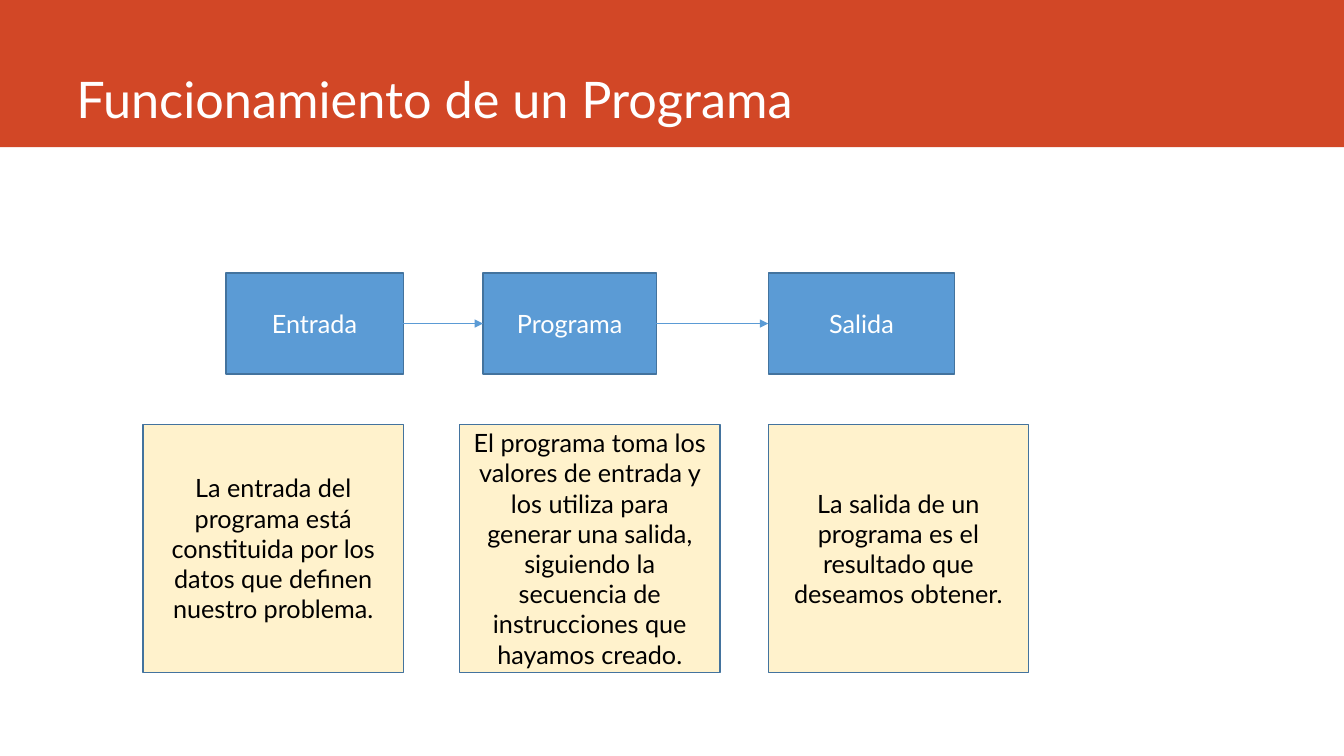
from itertools import pairwise
from lxml.etree import SubElement
from pptx import Presentation
from pptx.dml.color import RGBColor
from pptx.enum.shapes import MSO_CONNECTOR as CONN, MSO_SHAPE as SHAPE
from pptx.enum.text import MSO_ANCHOR as ANCHOR, PP_ALIGN as ALIGN
from pptx.oxml.ns import qn
from pptx.util import Inches, Pt

# Content
TITLE = "Funcionamiento de un Programa"
# name, stage left, stage width, note left, note
STAGES = [
    ("Entrada", 2.24, 1.76, 1.42,
     "La entrada del programa está constituida por los datos que definen "
     "nuestro problema."),
    ("Programa", 4.79, 1.72, 4.56,
     "El programa toma los valores de entrada y los utiliza para generar una "
     "salida, siguiendo la secuencia de instrucciones que hayamos creado."),
    ("Salida", 7.62, 1.85, 7.62,
     "La salida de un programa es el resultado que deseamos obtener."),
]

# Style and layout, in inches
FONT = "Lato"
ORANGE = RGBColor(0xD2, 0x47, 0x26)
BLUE = RGBColor(0x5B, 0x9B, 0xD5)
EDGE = RGBColor(0x43, 0x73, 0x9E)
CREAM = RGBColor(0xFF, 0xF2, 0xCC)
WHITE = RGBColor(0xFF, 0xFF, 0xFF)
BLACK = RGBColor(0, 0, 0)
WIDTH, HEIGHT = 13.33, 7.5
BAND_H = 1.46
TITLE_X, TITLE_H = 0.66, 1.32
STAGE_Y, STAGE_H = 2.71, 1
NOTE_W, NOTE_H = 2.58, 2.46
NOTE_Y = STAGE_Y + STAGE_H + 0.5


def write(sp, text, size, color, align, anchor):
    tf = sp.text_frame
    tf.word_wrap = True
    tf.vertical_anchor = anchor
    p = tf.paragraphs[0]
    p.alignment = align
    r = p.add_run()
    r.text = text
    r.font.size, r.font.name = Pt(size), FONT
    r.font.color.rgb = color


def add_box(x, y, w, h, fill, edge=None):
    sp = s.shapes.add_shape(SHAPE.RECTANGLE, *map(Inches, (x, y, w, h)))
    sp.shadow.inherit = False
    sp.fill.solid()
    sp.fill.fore_color.rgb = fill
    if edge is None:
        sp.line.fill.background()
    else:
        sp.line.color.rgb = edge
        sp.line.width = Pt(1)
    return sp


def add_arrow(start, end):
    y = start.top + start.height // 2
    c = s.shapes.add_connector(CONN.STRAIGHT, start.left + start.width, y, end.left, y)
    c.begin_connect(start, 3)
    c.end_connect(end, 1)
    c.line.color.rgb = BLUE
    c.line.width = Pt(0.5)
    SubElement(c.line._get_or_add_ln(), qn("a:tailEnd"), type="triangle")
    SubElement(c._element.spPr, qn("a:effectLst"))


prs = Presentation()
prs.slide_width, prs.slide_height = Inches(WIDTH), Inches(HEIGHT)
s = prs.slides.add_slide(prs.slide_layouts[6])

# Title band
add_box(0, 0, WIDTH, BAND_H, ORANGE)
title = s.shapes.add_textbox(
    Inches(TITLE_X), 0, Inches(WIDTH - 0.91 - TITLE_X), Inches(TITLE_H))
write(title, TITLE, 36, WHITE, ALIGN.LEFT, ANCHOR.BOTTOM)

# Stages with their notes
boxes = []
for name, x, w, note_x, note in STAGES:
    box = add_box(x, STAGE_Y, w, STAGE_H, BLUE, EDGE)
    write(box, name, 18, WHITE, ALIGN.CENTER, ANCHOR.MIDDLE)
    boxes.append(box)
    sp = add_box(note_x, NOTE_Y, NOTE_W, NOTE_H, CREAM, EDGE)
    write(sp, note, 18, BLACK, ALIGN.CENTER, ANCHOR.MIDDLE)

# Flow arrows
for start, end in pairwise(boxes):
    add_arrow(start, end)

prs.save("out.pptx")
